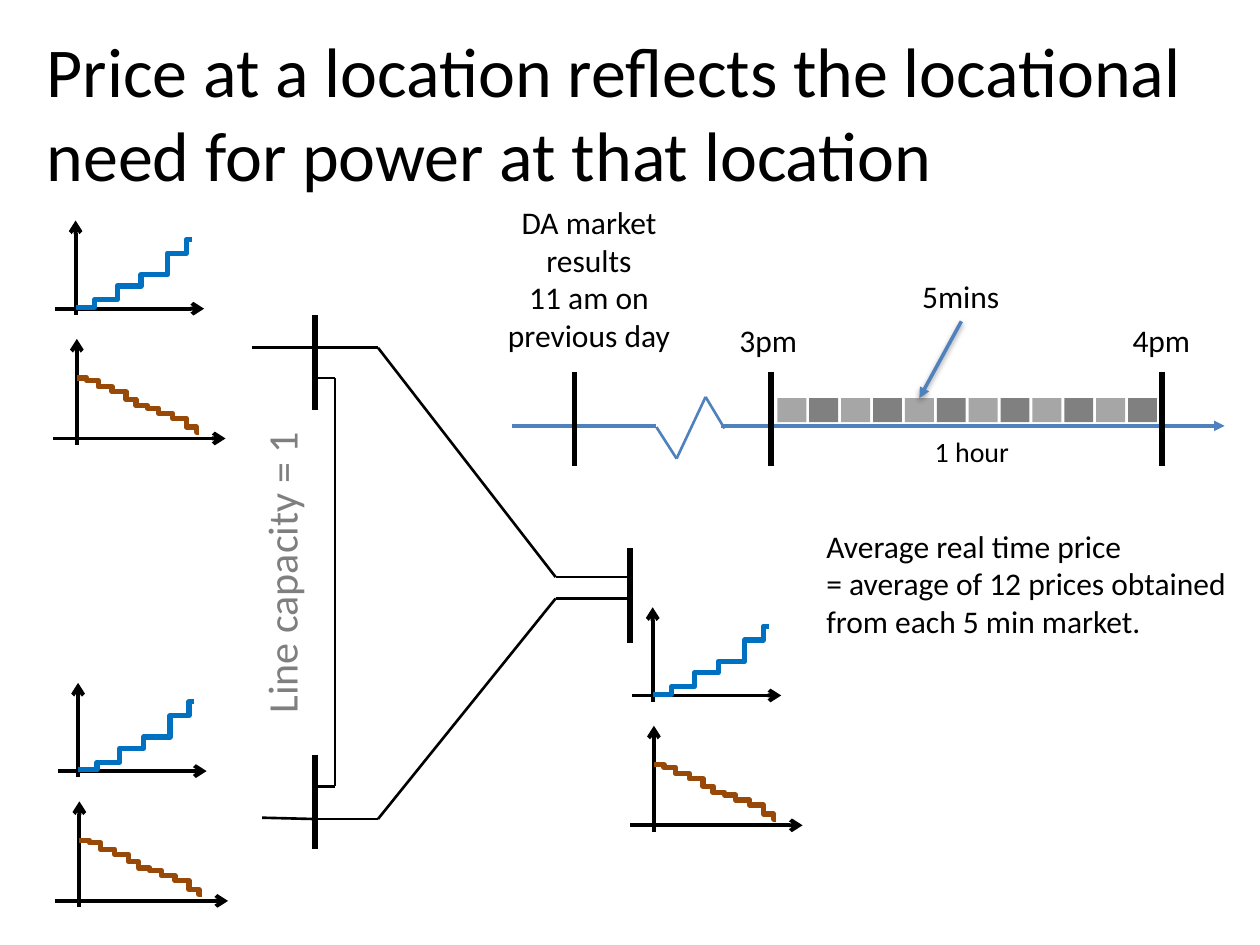
from itertools import pairwise

from pptx import Presentation
from pptx.dml.color import RGBColor
from pptx.enum.shapes import MSO_CONNECTOR, MSO_SHAPE
from pptx.enum.text import MSO_ANCHOR, MSO_AUTO_SIZE, PP_ALIGN
from pptx.oxml.ns import qn
from pptx.util import Inches, Pt
from lxml.etree import SubElement

BLACK, GREY, BLUE = "000000", "7F7F7F", "4F81BD"
SUPPLY, DEMAND = "0070C0", "984807"
BLOCK_COLORS = ("A6A6A6", "808080")

prs = Presentation()
prs.slide_width, prs.slide_height = Inches(10), Inches(7.5)
# The slide is a grid of 100 columns by 75 rows.
column, row = prs.slide_width / 100, prs.slide_height / 75
slide = prs.slides.add_slide(prs.slide_layouts[5])
shapes = slide.shapes


def draw_line(points, color, width, arrow=None, shadow=False):
    """Join grid points with straight connectors and return the last one."""
    for (x1, y1), (x2, y2) in pairwise(points):
        line = shapes.add_connector(
            MSO_CONNECTOR.STRAIGHT,
            int(x1 * column), int(y1 * row), int(x2 * column), int(y2 * row))
        line.line.color.rgb = RGBColor.from_string(color)
        line.line.width = Pt(width)
        properties = line._element.spPr
        if arrow:
            SubElement(properties.find(qn("a:ln")), qn("a:tailEnd"), type=arrow)
        if not shadow:
            SubElement(properties, qn("a:effectLst"))
    return line


def fill_text(box, place, paragraphs, size, color=BLACK, align=PP_ALIGN.LEFT, wrap=True):
    """Place a box on the grid and write its paragraphs."""
    left, top, width, height = place
    frame = box.text_frame
    frame.text = "\n".join(paragraphs)
    frame_format = {"word_wrap": wrap, "vertical_anchor": MSO_ANCHOR.TOP,
                    "auto_size": MSO_AUTO_SIZE.SHAPE_TO_FIT_TEXT}
    for name, value in frame_format.items():
        setattr(frame, name, value)
    box_format = {"left": int(left * column), "top": int(top * row),
                  "width": int(width * column), "height": int(height * row)}
    for name, value in box_format.items():
        setattr(box, name, value)
    for paragraph in frame.paragraphs:
        paragraph.alignment = align
        for name, value in {"name": "Calibri", "size": Pt(size)}.items():
            setattr(paragraph.font, name, value)
        paragraph.font.color.rgb = RGBColor.from_string(color)
    return box


fill_text(shapes.title, (2.7, 1.7, 94.5, 14.5),
          ["Price at a location reflects the locational need for power at that location"], 40)

# Three-bus network
for bus_x, bus_top in ((25, 25), (25, 59.9), (50, 43.5)):
    draw_line([(bus_x, bus_top), (bus_x, bus_top + 7.5)], BLACK, 3.25)
network_lines = (
    [(20, 27.6), (30, 27.6), (44.1, 45.8), (50, 45.8)],
    [(20.8, 64.9), (24.9, 65), (30, 65), (44.1, 47.5), (50, 47.5)],
    [(25, 30), (26.6, 30), (26.6, 62.4), (25, 62.4)],
)
for points in network_lines:
    draw_line(points, BLACK, 1.5)
capacity = fill_text(shapes.add_textbox(0, 0, 0, 0), (10, 42.8, 24.6, 5),
                     ["Line capacity = 1"], 24, color=GREY, wrap=False)
capacity.rotation = 270

# Supply and demand curves beside each bus, as offsets from the first pair
supply_steps = ([6, 7.5, 9.3, 11.2, 13.3, 14.8, 15.2],
                [24.4, 23.8, 22.7, 21.8, 20.1, 19])
demand_steps = ([6.1, 6.9, 7.8, 8.9, 10, 10.8, 11.7, 12.6, 13.7, 14.8, 15.6, 15.8],
                [30, 30.2, 30.7, 31.1, 31.7, 32.2, 32.4, 32.8, 33.2, 33.9, 34.3])
axes = ([(4.4, 24.5), (16.2, 24.5)], [(6, 25), (6, 17.5)],
        [(4.2, 34.8), (17.9, 34.8)], [(6.1, 35.3), (6.1, 26.9)])
for dx, dy in ((0, 0), (0.2, 36.7), (45.8, 30.7)):
    for axis in axes:
        draw_line([(x + dx, y + dy) for x, y in axis], BLACK, 2.25, arrow="arrow")
    for (edges, levels), color in ((supply_steps, SUPPLY), (demand_steps, DEMAND)):
        corners = [(int((x + dx) * column), int((y + dy) * row))
                   for ends, y in zip(pairwise(edges), levels) for x in ends]
        builder = shapes.build_freeform(*corners[0])
        builder.add_line_segments(corners[1:], close=False)
        curve = builder.convert_to_shape()
        curve.shadow.inherit = False
        curve.fill.background()
        curve.line.color.rgb = RGBColor.from_string(color)
        curve.line.width = Pt(3)

# Market timeline: one hour split into twelve five-minute blocks
draw_line([(57.2, 33.8), (97.2, 33.8)], BLUE, 2, arrow="triangle")
blocks = []
for index in range(12):
    block = shapes.add_shape(
        MSO_SHAPE.RECTANGLE, int((61.7 + 2.53 * index) * column), int(31.6 * row),
        int(2.3 * column), int(1.9 * row))
    block.shadow.inherit = False
    block.fill.solid()
    block.fill.fore_color.rgb = RGBColor.from_string(BLOCK_COLORS[index % 2])
    block.line.fill.background()
    blocks.append(block)
draw_line([(40.6, 33.8), (52.1, 33.8)], BLUE, 2)
draw_line([(52.1, 33.9), (53.7, 36.4), (56, 31.5), (57.5, 34)], BLUE, 1.5)
for tick_x in (45.6, 61.2, 92.2):
    draw_line([(tick_x, 29.5), (tick_x, 37)], BLACK, 3.25)

labels = (
    ((37.1, 15.6, 19.3, 13.1), ["DA market results", "11 am on previous day"], 18,
     {"align": PP_ALIGN.CENTER}),
    ((73.2, 34, 8, 3.7), ["1 hour"], 16, {"wrap": False}),
    ((57.7, 25, 6.6, 4), ["3pm"], 18, {"wrap": False}),
    ((88.9, 25, 6.6, 4), ["4pm"], 18, {"wrap": False}),
    ((64.6, 41.3, 34.6, 10.1),
     ["Average real time price", "= average of 12 prices obtained from each 5 min market."],
     18, {}),
    ((72.2, 21.5, 8.2, 4), ["5mins"], 18, {"wrap": False}),
)
for place, paragraphs, size, options in labels:
    interval_label = fill_text(shapes.add_textbox(0, 0, 0, 0), place, paragraphs, size, **options)

pointer = draw_line([(76.3, 25.6), (72.9, 31.6)], BLUE, 2, arrow="triangle", shadow=True)
pointer.begin_connect(interval_label, 2)
pointer.end_connect(blocks[4], 0)

prs.save("out.pptx")
